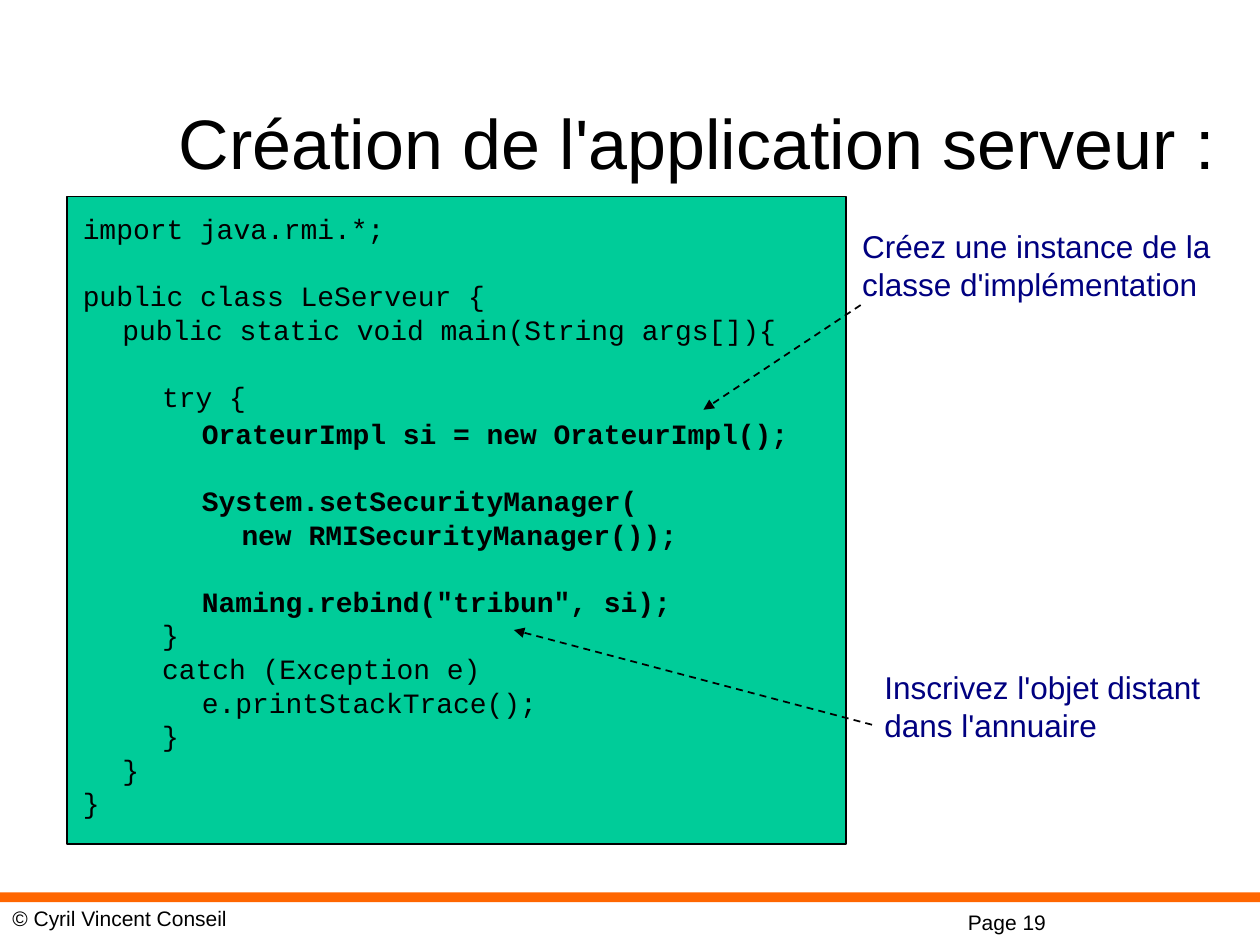
from lxml.etree import SubElement
from pptx import Presentation
from pptx.dml.color import RGBColor
from pptx.enum.dml import MSO_LINE
from pptx.enum.shapes import MSO_CONNECTOR, MSO_SHAPE
from pptx.enum.text import MSO_ANCHOR, PP_ALIGN
from pptx.oxml.ns import qn
from pptx.util import Cm, Pt

BLACK = RGBColor(0x00, 0x00, 0x00)
NAVY = RGBColor(0x00, 0x00, 0x80)
GREEN = RGBColor(0x00, 0xCC, 0x99)
ORANGE = RGBColor(0xFF, 0x66, 0x00)
LINE_HEIGHT = 1.2
CODE_SIZE = 16
CODE_TAB = 0.8


def add_run(paragraph, text, size, color=BLACK, font="Arial", bold=False):
    run = paragraph.add_run()
    run.text = text
    run.font.name = font
    run.font.size = Pt(size)
    run.font.bold = bold
    run.font.color.rgb = color


def add_text_box(left, top, width, height):
    """Add a wrapping text box, measured in centimetres, and return its frame."""
    box = slide.shapes.add_textbox(Cm(left), Cm(top), Cm(width), Cm(height))
    box.text_frame.word_wrap = True
    return box.text_frame


presentation = Presentation()
presentation.slide_width = Cm(25.4)
presentation.slide_height = Cm(19.05)
slide = presentation.slides.add_slide(presentation.slide_layouts[5])

# Title
title = slide.shapes.title
title.left, title.top, title.width, title.height = Cm(3.25), Cm(1.27), Cm(21.59), Cm(3.18)
title.text_frame.vertical_anchor = MSO_ANCHOR.MIDDLE
title_paragraph = title.text_frame.paragraphs[0]
title_paragraph.alignment = PP_ALIGN.CENTER
add_run(title_paragraph, "Création de l'application serveur :", 40)

# Footer bar and code panel
for left, top, width, height, fill, line in [
    (0, 17.99, 25.4, 0.2, ORANGE, None),
    (1.35, 3.96, 15.7, 13.06, GREEN, BLACK),
]:
    shape = slide.shapes.add_shape(
        MSO_SHAPE.RECTANGLE, Cm(left), Cm(top), Cm(width), Cm(height))
    shape.shadow.inherit = False
    shape.fill.solid()
    shape.fill.fore_color.rgb = fill
    if line is None:
        shape.line.fill.background()
    else:
        shape.line.color.rgb = line
        shape.line.width = Pt(1)

# Footer texts and annotations
for text, left, top, width, height, size, color in [
    ("Page 19", 19.26, 18.22, 3.39, 0.76, 12, BLACK),
    ("© Cyril Vincent Conseil", 0, 18.12, 9.53, 0.76, 12, BLACK),
    ("Créez une instance de la classe d'implémentation", 17.13, 4.45, 8.02, 1.78, 18, NAVY),
    ("Inscrivez l'objet distant dans l'annuaire", 17.58, 13.34, 7.06, 1.78, 18, NAVY),
]:
    paragraph = add_text_box(left, top, width, height).paragraphs[0]
    paragraph.line_spacing = Pt(size * LINE_HEIGHT)
    add_run(paragraph, text, size, color)

# Code: lines skipped before, tab depth, text, bold
code_lines = [
    (0, 0, "import java.rmi.*;", False),
    (1, 0, "public class LeServeur {", False),
    (0, 1, "public static void main(String args[]){", False),
    (1, 2, "try {", False),
    (0.1, 3, "OrateurImpl si = new OrateurImpl();", True),
    (1, 3, "System.setSecurityManager(", True),
    (0, 4, "new RMISecurityManager());", True),
    (1, 3, 'Naming.rebind("tribun", si);', True),
    (0, 2, "}", False),
    (0, 2, "catch (Exception e)", False),
    (0, 3, "e.printStackTrace();", False),
    (0, 2, "}", False),
    (0, 1, "}", False),
    (0, 0, "}", False),
]
code_frame = add_text_box(1.42, 4.14, 15.39, 12.52)
for number, (skipped, depth, text, bold) in enumerate(code_lines):
    paragraph = code_frame.add_paragraph() if number else code_frame.paragraphs[0]
    tab_list = SubElement(paragraph._p.get_or_add_pPr(), qn("a:tabLst"))
    for stop in range(1, 5):
        SubElement(tab_list, qn("a:tab"), pos=str(Cm(stop * CODE_TAB)), algn="l")
    paragraph.line_spacing = Pt(CODE_SIZE * LINE_HEIGHT)
    if skipped:
        paragraph.space_before = Pt(skipped * CODE_SIZE * LINE_HEIGHT)
    add_run(paragraph, "\t" * depth + text, CODE_SIZE, font="Courier New", bold=bold)

# Dashed arrows from the annotations to the code
for start_x, start_y, end_x, end_y in [
    (17.35, 6.15, 14.18, 8.26),
    (17.58, 14.61, 10.36, 12.7),
]:
    arrow = slide.shapes.add_connector(
        MSO_CONNECTOR.STRAIGHT, Cm(start_x), Cm(start_y), Cm(end_x), Cm(end_y))
    arrow.line.color.rgb = BLACK
    arrow.line.width = Pt(1)
    arrow.line.dash_style = MSO_LINE.DASH
    SubElement(arrow.line._get_or_add_ln(), qn("a:tailEnd"), type="triangle")
    SubElement(arrow._element.spPr, qn("a:effectLst"))

presentation.save("out.pptx")
